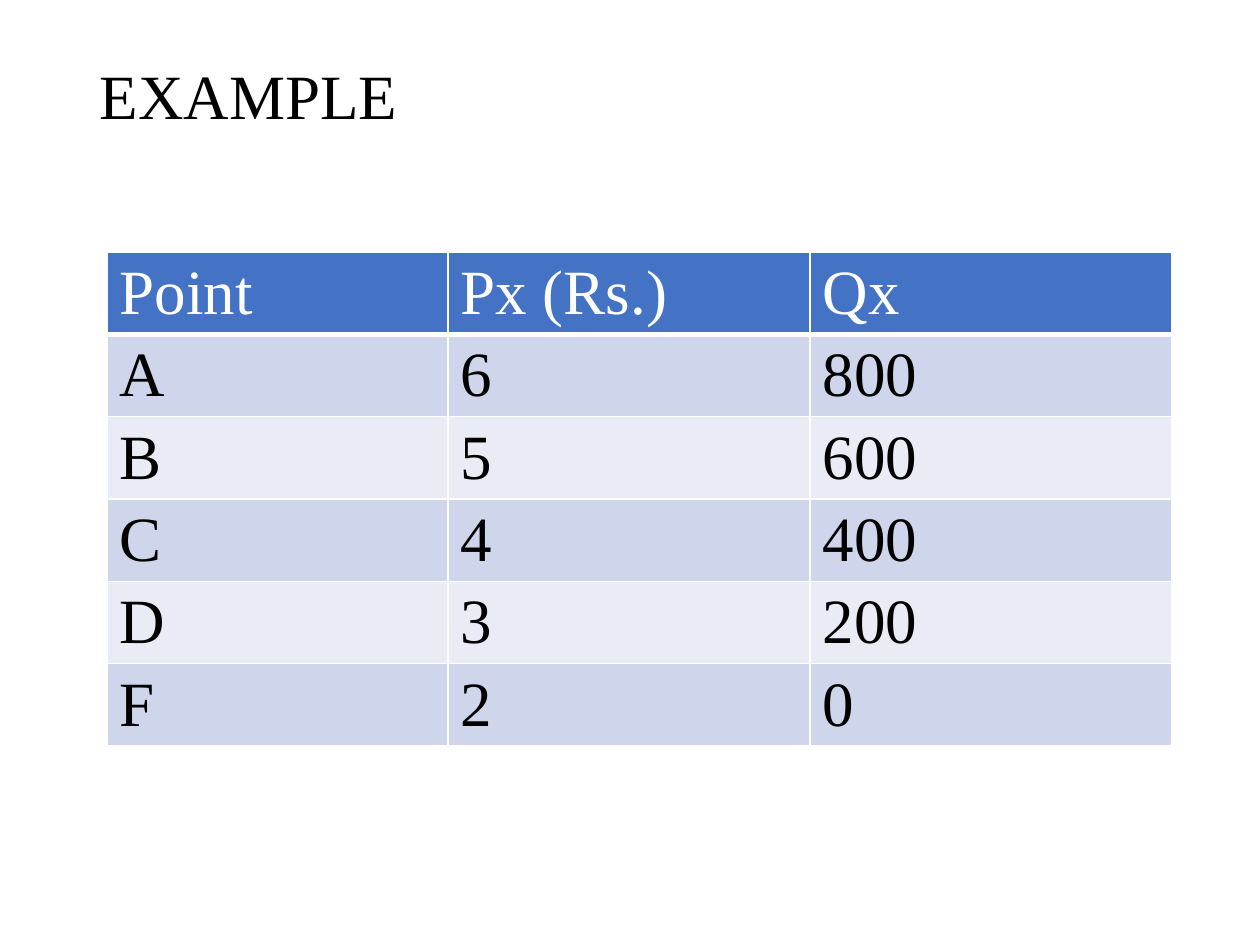
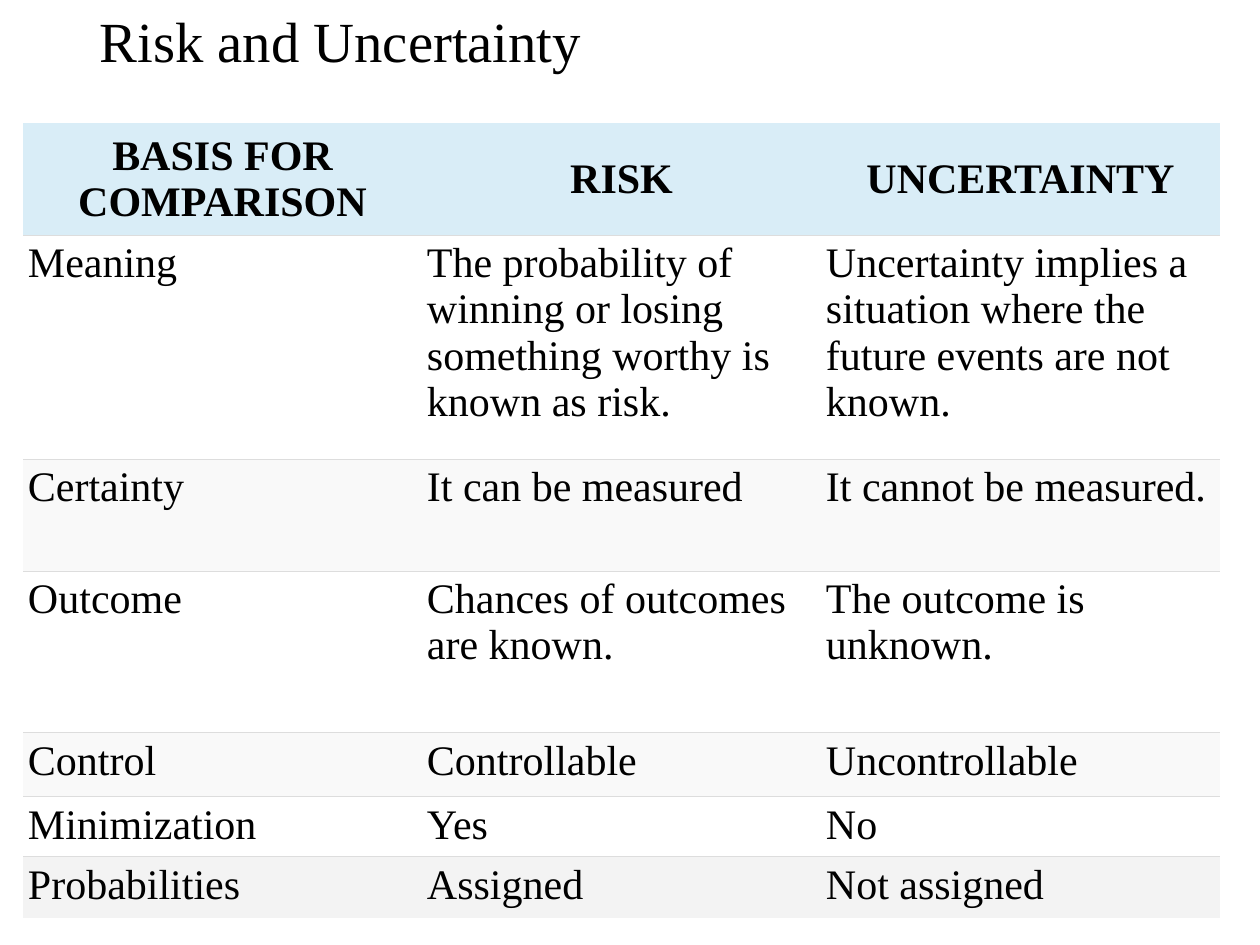
import pptx
import pptx.dml.color
import pptx.enum.text
import pptx.oxml.ns
import pptx.util
from lxml import etree

PX = 914400 / 126
FONT = "Times New Roman"
BLACK, WHITE, GREY = "000000", "FFFFFF", "DDDDDD"
ALIGN = pptx.enum.text.PP_ALIGN
ANCHOR = pptx.enum.text.MSO_ANCHOR


def px(n):
    return pptx.util.Emu(round(n * PX))


def rgb(value):
    return pptx.dml.color.RGBColor.from_string(value)


class Deck:
    def __init__(self):
        self.prs = pptx.Presentation()
        self.prs.slide_width, self.prs.slide_height = px(1260), px(945)
        self.s = None

    def slide(self):
        self.s = self.prs.slides.add_slide(self.prs.slide_layouts[5])

    def run(self, p, text, size, color=BLACK, bold=False):
        r = p.add_run()
        r.text = text
        r.font.name, r.font.size, r.font.bold = FONT, pptx.util.Pt(size), bold
        r.font.color.rgb = rgb(color)

    def title(self, text, top, height, size):
        sp = self.s.shapes.title
        sp.left, sp.top, sp.width, sp.height = px(87), px(top), px(1086), px(height)
        tf = sp.text_frame
        tf.auto_size = pptx.enum.text.MSO_AUTO_SIZE.NONE
        tf.vertical_anchor = ANCHOR.MIDDLE
        p = tf.paragraphs[0]
        p.alignment, p.line_spacing = ALIGN.LEFT, 0.9
        self.run(p, text, size)

    def border(self, cell, side, color, width):
        tc_pr = cell._tc.get_or_add_tcPr()
        ln = etree.SubElement(tc_pr, pptx.oxml.ns.qn("a:ln" + side))
        ln.set("w", str(pptx.util.Pt(width)))
        if width:
            fill = etree.SubElement(ln, pptx.oxml.ns.qn("a:solidFill"))
            etree.SubElement(fill, pptx.oxml.ns.qn("a:srgbClr")).set("val", color)
        else:
            etree.SubElement(ln, pptx.oxml.ns.qn("a:noFill"))

    def table(self, rows, left, top, widths, heights, size, fills, line, borders,
              head_color=BLACK, head_bold=False, head_align=ALIGN.LEFT,
              head_anchor=ANCHOR.TOP, inset=None):
        frame = self.s.shapes.add_table(len(rows), len(widths), px(left), px(top),
                                        px(sum(widths)), px(sum(heights)))
        table = frame.table
        table.first_row = table.horz_banding = False
        for column, width in zip(table.columns, widths):
            column.width = px(width)
        for i, (texts, height, fill) in enumerate(zip(rows, heights, fills)):
            table.rows[i].height = px(height)
            head = i == 0
            for j, text in enumerate(texts):
                cell = table.cell(i, j)
                for side, width in borders(i).items():
                    self.border(cell, side, line, width)
                cell.fill.solid()
                cell.fill.fore_color.rgb = rgb(fill)
                cell.vertical_anchor = head_anchor if head else ANCHOR.TOP
                if inset is not None:
                    cell.margin_left = cell.margin_right = px(inset)
                    cell.margin_top = cell.margin_bottom = px(inset)
                p = cell.text_frame.paragraphs[0]
                p.alignment = head_align if head else ALIGN.LEFT
                self.run(p, text, size, head_color if head else BLACK, head and head_bold)


def demand_slide(deck):
    rows = [
        ("Point", "Px (Rs.)", "Qx"),
        ("A", "6", "800"),
        ("B", "5", "600"),
        ("C", "4", "400"),
        ("D", "3", "200"),
        ("F", "2", "0"),
    ]
    bands = ["CFD5EA", "E9EBF5"]
    fills = ["4472C4"] + [bands[i % 2] for i in range(len(rows) - 1)]

    def borders(i):
        return {"L": 1, "R": 1, "T": 1, "B": 1 if i else 3}

    deck.slide()
    deck.title("EXAMPLE", 50, 98, 36)
    deck.table(rows, 107, 252, [341, 362, 362], [82] * len(rows), 36, fills,
               WHITE, borders, head_color=WHITE)


def risk_slide(deck):
    rows = [
        ("BASIS FOR COMPARISON", "RISK", "UNCERTAINTY"),
        ("Meaning",
         "The probability of winning or losing something worthy is known as risk.",
         "Uncertainty implies a situation where the future events are not known."),
        ("Certainty", "It can be measured", "It cannot be measured."),
        ("Outcome", "Chances of outcomes are known.", "The outcome is unknown."),
        ("Control", "Controllable", "Uncontrollable"),
        ("Minimization", "Yes", "No"),
        ("Probabilities", "Assigned", "Not assigned"),
    ]
    fills = ["D9EDF7"] + [WHITE, "F9F9F9"] * 2 + [WHITE, "F3F3F3"]

    def borders(i):
        return {"L": 0, "R": 0, "T": 0.5 if i else 0, "B": 0.5 if i < len(rows) - 1 else 0}

    deck.slide()
    deck.title("Risk and Uncertainty", 4, 80, 32.4)
    deck.table(rows, 23, 123, [399] * 3, [112, 224, 112, 162, 64, 60, 61], 24, fills,
               GREY, borders, head_bold=True, head_align=ALIGN.CENTER,
               head_anchor=ANCHOR.MIDDLE, inset=5)


def main():
    deck = Deck()
    demand_slide(deck)
    risk_slide(deck)
    deck.prs.save("out.pptx")


if __name__ == "__main__":
    main()
